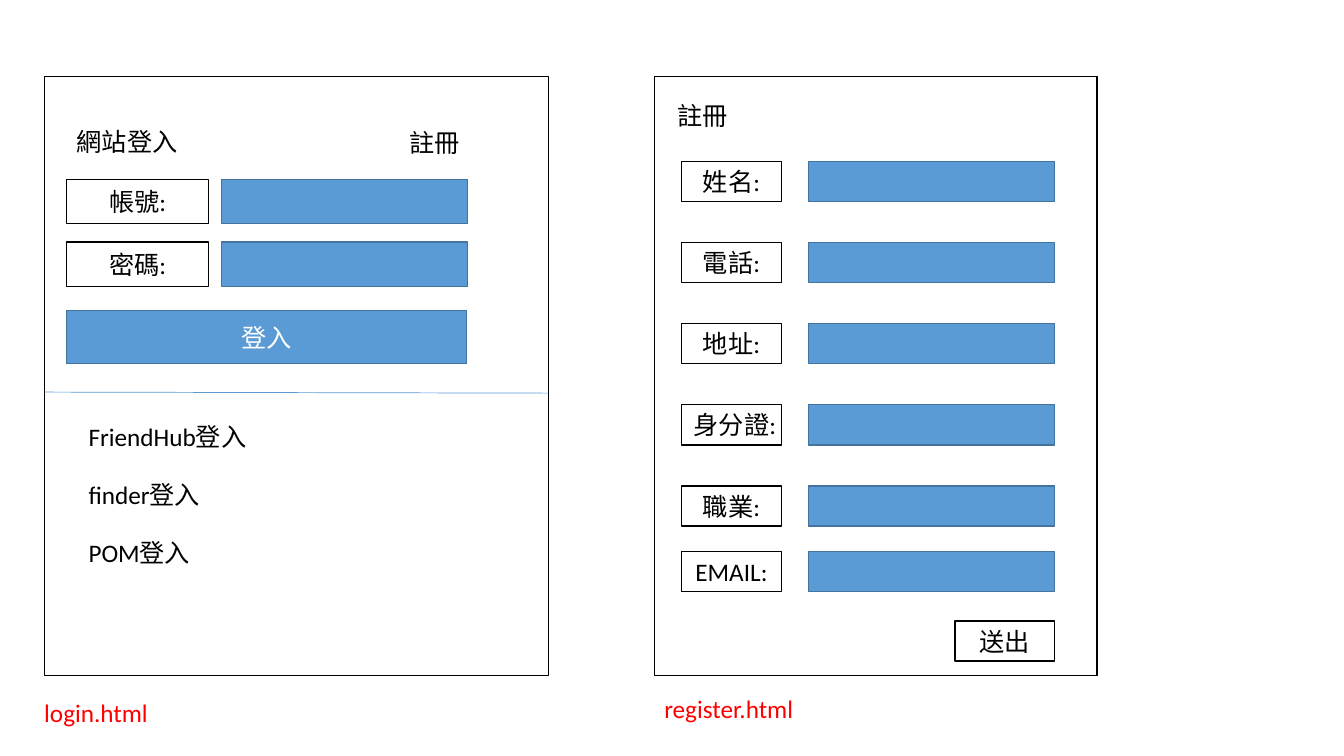
from pptx import Presentation
from pptx.dml.color import RGBColor
from pptx.enum.shapes import MSO_CONNECTOR, MSO_SHAPE
from pptx.enum.text import MSO_ANCHOR as Anchor, MSO_AUTO_SIZE as AutoSize, PP_ALIGN as Align
from pptx.oxml.ns import qn
from pptx.util import Inches, Pt
from lxml.etree import SubElement

# Content
LOGIN_TITLE = "網站登入"
REGISTER = "註冊"
LOGIN_FIELDS = ["帳號:", "密碼:"]
LOGIN_BUTTON = "登入"
OTHER_LOGINS = ["FriendHub登入", "finder登入", "POM登入"]
REGISTER_FIELDS = ["姓名:", "電話:", "地址:", "身分證:", "職業:", "EMAIL:"]
SUBMIT_BUTTON = "送出"
FILE_NAMES = ["login.html", "register.html"]

# Colours
BLACK, WHITE, RED = "000000", "FFFFFF", "FF0000"
BLUE, DARK_BLUE = "5B9BD5", "43739E"

# Grid, in inches
PANEL_TOP, PANEL_HEIGHT = 0.76, 5.94
LOGIN_LEFT, LOGIN_WIDTH = 0.44, 5
REGISTER_LEFT, REGISTER_WIDTH = 6.49, 4.39
FIELD_WIDTH, TEXT_HEIGHT = 2.44, 0.4
LOGIN_LABEL_LEFT, LOGIN_LABEL_WIDTH, LOGIN_FIELD_LEFT = 0.66, 1.41, 2.2
LOGIN_ROW_TOP, LOGIN_ROW_STEP, LOGIN_ROW_HEIGHT = 1.78, 0.62, 0.44
REGISTER_LABEL_LEFT, REGISTER_LABEL_WIDTH, REGISTER_FIELD_LEFT = 6.76, 0.99, 8.02
REGISTER_ROW_TOP, REGISTER_ROW_STEP, EMAIL_TOP = 1.6, 0.805, 5.47
OTHER_TOP, OTHER_STEP = 4.13, 0.575

deck = Presentation()
deck.slide_width, deck.slide_height = Inches(13.33), Inches(7.5)
page = deck.slides.add_slide(deck.slide_layouts[5])


def colour(code):
    return RGBColor.from_string(code)


def write(shape, text, code, align):
    shape.text_frame.text = text
    para = shape.text_frame.paragraphs[0]
    para.alignment = align
    for span in para.runs:
        span.font.size = Pt(18)
        span.font.name = "Calibri"
        span.font.color.rgb = colour(code)


def add_box(left, top, width, height, text="", fill=WHITE, line=BLACK, ink=BLACK):
    box = page.shapes.add_shape(
        MSO_SHAPE.RECTANGLE, Inches(left), Inches(top), Inches(width), Inches(height))
    box.shadow.inherit = False
    box.fill.solid()
    box.fill.fore_color.rgb = colour(fill)
    box.line.color.rgb = colour(line)
    box.line.width = Pt(1)
    if text:
        box.text_frame.vertical_anchor = Anchor.MIDDLE
        write(box, text, ink, Align.CENTER)


def add_blue_box(left, top, width, height, text=""):
    add_box(left, top, width, height, text, BLUE, DARK_BLUE, WHITE)


def add_text(left, top, width, text, ink=BLACK, align=Align.LEFT):
    box = page.shapes.add_textbox(
        Inches(left), Inches(top), Inches(width), Inches(TEXT_HEIGHT))
    box.text_frame.word_wrap = True
    box.text_frame.auto_size = AutoSize.SHAPE_TO_FIT_TEXT
    write(box, text, ink, align)


# Login panel
add_box(LOGIN_LEFT, PANEL_TOP, LOGIN_WIDTH, PANEL_HEIGHT)
title = page.shapes.title
title.left, title.top = Inches(LOGIN_LABEL_LEFT), Inches(1.2)
title.width, title.height = Inches(2.75), Inches(TEXT_HEIGHT)
title.text_frame.vertical_anchor = Anchor.TOP
title.text_frame.auto_size = AutoSize.SHAPE_TO_FIT_TEXT
write(title, LOGIN_TITLE, BLACK, Align.LEFT)
page.shapes._spTree.append(title._element)  # bring the title in front of the panel
add_text(3.4, 1.21, 1.26, REGISTER, align=Align.RIGHT)

for row, label in enumerate(LOGIN_FIELDS):
    top = LOGIN_ROW_TOP + row * LOGIN_ROW_STEP
    add_box(LOGIN_LABEL_LEFT, top, LOGIN_LABEL_WIDTH, LOGIN_ROW_HEIGHT, label)
    add_blue_box(LOGIN_FIELD_LEFT, top, FIELD_WIDTH, LOGIN_ROW_HEIGHT)
add_blue_box(LOGIN_LABEL_LEFT, 3.08, 3.97, 0.53, LOGIN_BUTTON)

# Divider and the other ways to log in
divider = page.shapes.add_connector(
    MSO_CONNECTOR.STRAIGHT, Inches(LOGIN_LEFT), Inches(3.89),
    Inches(LOGIN_LEFT + LOGIN_WIDTH), Inches(3.9))
divider.line.color.rgb = colour(BLUE)
divider.line.width = Pt(0.5)
SubElement(divider._element.spPr, qn("a:effectLst"))

for row, label in enumerate(OTHER_LOGINS):
    add_text(0.78, OTHER_TOP + row * OTHER_STEP, 2.14, label)

# Register panel: even rows, with the last one set closer
add_box(REGISTER_LEFT, PANEL_TOP, REGISTER_WIDTH, PANEL_HEIGHT)
add_text(6.62, 0.95, 0.75, REGISTER)
row_tops = [REGISTER_ROW_TOP + row * REGISTER_ROW_STEP
            for row in range(len(REGISTER_FIELDS) - 1)] + [EMAIL_TOP]
for top, label in zip(row_tops, REGISTER_FIELDS):
    add_box(REGISTER_LABEL_LEFT, top, REGISTER_LABEL_WIDTH, TEXT_HEIGHT, label)
    add_blue_box(REGISTER_FIELD_LEFT, top, FIELD_WIDTH, TEXT_HEIGHT)
submit_left = REGISTER_FIELD_LEFT + FIELD_WIDTH - REGISTER_LABEL_WIDTH
add_box(submit_left, 6.16, REGISTER_LABEL_WIDTH, TEXT_HEIGHT, SUBMIT_BUTTON)

# File names under the panels
for name, left, top in zip(FILE_NAMES, (0.34, REGISTER_LEFT), (6.87, 6.83)):
    add_text(left, top, 1.85, name, RED)

deck.save("out.pptx")
